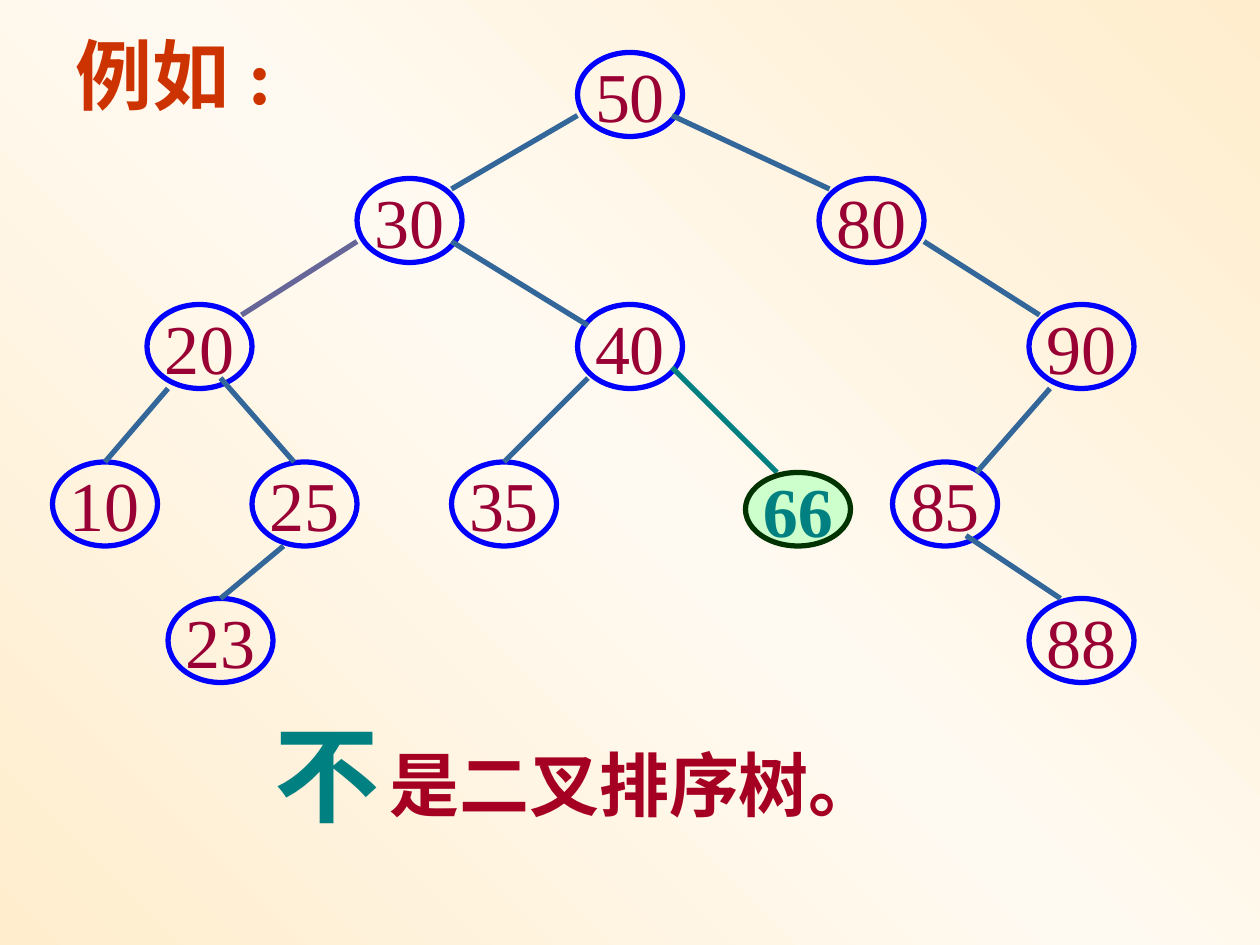
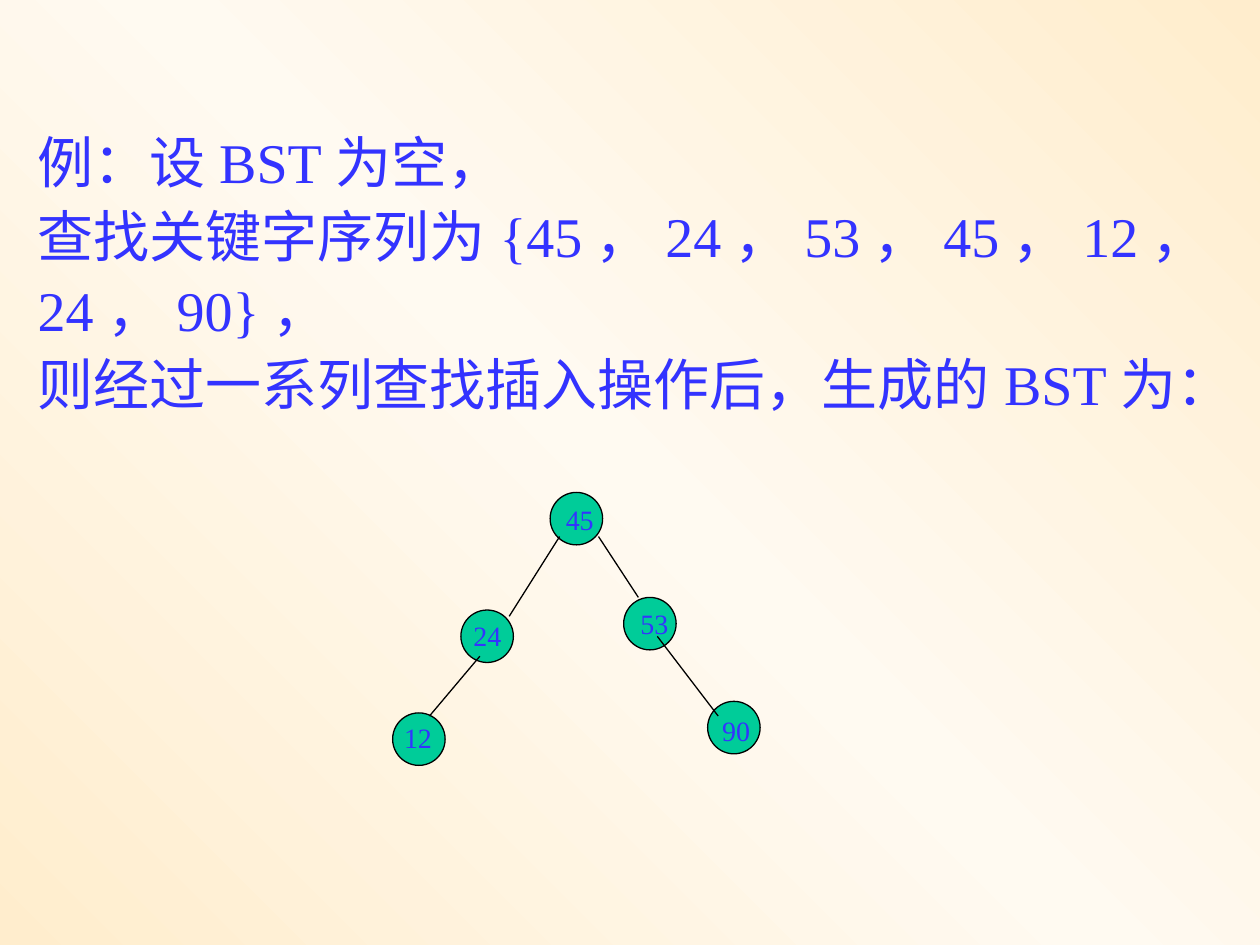
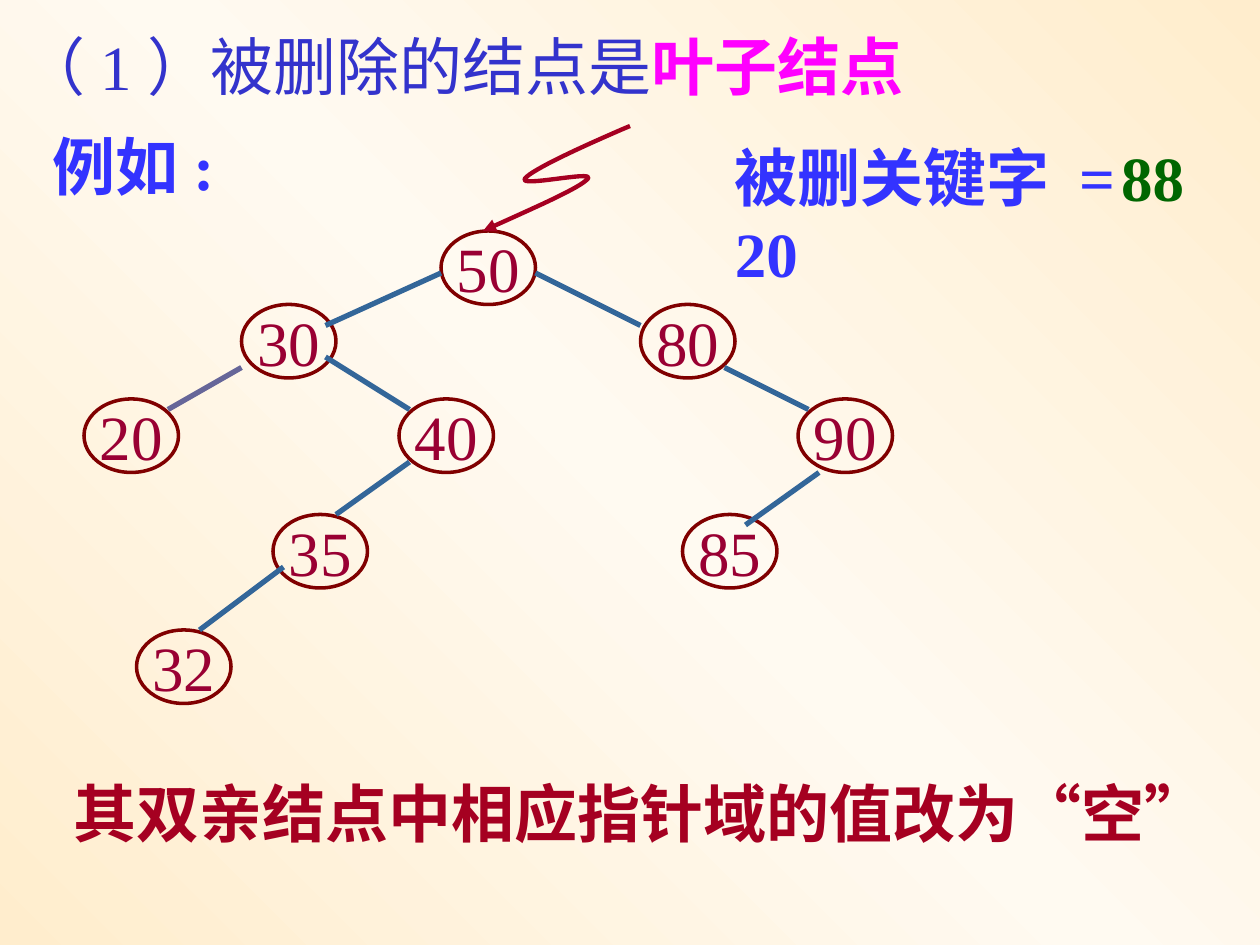
"""Build three slides on binary search trees: a counterexample, insertion and leaf deletion."""
from copy import deepcopy
from dataclasses import dataclass

from lxml.etree import SubElement
from pptx import Presentation
from pptx.dml.color import RGBColor
from pptx.enum.shapes import MSO_CONNECTOR, MSO_SHAPE
from pptx.enum.text import MSO_ANCHOR, MSO_AUTO_SIZE, PP_ALIGN
from pptx.oxml.ns import qn
from pptx.util import Emu, Pt

PX = 7620
SLIDE_SIZE = (1200, 900)


@dataclass(frozen=True)
class Theme:
    """Colours, type sizes and line widths of the deck."""
    font: str = "Times New Roman"
    backdrop: tuple = ((0, "FFEDCD"), (0.5, "FFFAF1"), (1, "FFEDCD"))
    key: str = "990033"
    blue: str = "3333FF"
    title: str = "3333CC"
    magenta: str = "FF00FF"
    orange: str = "CC3300"
    crimson: str = "A50021"
    teal: str = "008080"
    green: str = "006600"
    edge: str = "336699"
    left_edge: str = "666699"
    ring: str = "0000FF"
    leaf_ring: str = "800000"
    wrong_ring: str = "003300"
    wrong_fill: str = "CCFFCC"
    disc: str = "00CC99"
    black: str = "000000"
    small: int = 16
    body: int = 32
    heading: int = 36
    large: int = 40
    example: int = 44
    huge: int = 60
    thin: float = 0.75
    ring_width: float = 2
    pointer_width: float = 2.5
    thick: float = 3


T = Theme()

CHECK_NODES = [
    ("50", 550, 50), ("30", 340, 170), ("80", 780, 170), ("20", 140, 290),
    ("90", 980, 290), ("10", 50, 440), ("85", 850, 440), ("40", 550, 290),
    ("35", 430, 440), ("25", 240, 440), ("23", 160, 570), ("88", 980, 570),
]
CHECK_EDGES = [
    (550, 110, 430, 180), (640, 110, 790, 180), (430, 230, 560, 310),
    (160, 370, 100, 440), (210, 360, 280, 440), (270, 520, 210, 570),
    (560, 360, 480, 440), (880, 230, 990, 300), (1000, 370, 930, 450),
    (920, 510, 1010, 570),
]
CHECK_LEFT_EDGE = (340, 230, 230, 300)
WRONG_NODE = ("66", 710, 450)
WRONG_EDGE = (640, 350, 740, 450)
CHECK_TEXTS = [
    ((60, 20, 197, 100), [("例如:", T.example, T.orange, True)]),
    ((359, 700, 496, 92), [("是二叉排序树。", T.large, T.crimson, True)]),
    ((250, 670, 125, 132), [("不", T.huge, T.teal, True)]),
]

INSERT_LINES = [
    "例：设BST为空，",
    "查找关键字序列为{45，24，53，45，12，24，90}，",
    "则经过一系列查找插入操作后，生成的BST为：",
]
INSERT_NODES = [
    ("45", (524, 469), (527, 473), None),
    ("24", (439, 581), (439, 583), (533, 511, 485, 587)),
    ("53", (594, 569), (598, 572), (570, 511, 608, 569)),
    ("12", (374, 679), (373, 680), (457, 625, 409, 682)),
    ("90", (674, 668), (676, 674), (626, 606, 684, 682)),
]

DELETE_NODES = [
    ("50", 420, 220), ("30", 230, 290), ("80", 610, 290), ("20", 80, 380),
    ("90", 760, 380), ("85", 650, 490), ("40", 380, 380), ("35", 260, 490),
    ("32", 130, 600),
]
DELETE_EDGES = [
    (420, 260, 310, 310), (510, 260, 610, 310), (310, 340, 390, 390),
    (390, 440, 320, 490), (690, 350, 770, 390), (780, 450, 710, 500),
    (270, 540, 190, 600),
]
DELETE_LEFT_EDGE = (230, 350, 160, 390)
DELETE_TITLE = [("（1）被删除的结点是", T.heading, T.title, False),
                ("叶子结点", T.heading, T.magenta, True)]
DELETED_KEY = [("被删关键字 = 20", T.heading, T.blue, True)]
DELETE_TEXTS = [
    ((38, 116, 166, 84), [("例如:", T.heading, T.blue, True)]),
    ((1056, 126, 84, 84), [("88", T.heading, T.green, True)]),
    ((58, 732, 1111, 84),
     [("其双亲结点中相应指针域的值改为“空”", T.heading, T.crimson, True)]),
]
POINTER_CURVES = [
    ((600, 120), (553, 140), (506, 162), (500, 170)),
    ((500, 170), (493, 179), (566, 162), (560, 170)),
    ((560, 170), (553, 179), (506, 199), (460, 220)),
]
CURVE_STEPS = 16


def rgb(code):
    """Turn a hex code into a colour."""
    return RGBColor.from_string(code)


def emu(*lengths):
    """Scale px lengths to EMU."""
    return [Emu(round(length * PX)) for length in lengths]


def set_line(line, color, width):
    """Give a line its colour and width."""
    line.color.rgb = rgb(color)
    line.width = Pt(width)


def write(paragraph, runs):
    """Fill a paragraph with formatted runs."""
    for wording, size, color, bold in runs:
        run = paragraph.add_run()
        run.text = wording
        formats = {"name": T.font, "size": Pt(size), "bold": bold}
        for attribute, value in formats.items():
            setattr(run.font, attribute, value)
        run.font.color.rgb = rgb(color)


def add_text(shapes, box, paragraphs, wrap=False, spacing=None):
    """Place a text box with one list of runs per paragraph."""
    frame = shapes.add_textbox(*emu(*box)).text_frame
    frame.word_wrap = wrap
    frame.auto_size = MSO_AUTO_SIZE.SHAPE_TO_FIT_TEXT
    for index, runs in enumerate(paragraphs):
        paragraph = frame.add_paragraph() if index else frame.paragraphs[0]
        paragraph.line_spacing = spacing
        write(paragraph, runs)


def add_ellipse(shapes, box, ring, width, fill=None):
    """Draw an ellipse with a ring and an optional fill."""
    ellipse = shapes.add_shape(MSO_SHAPE.OVAL, *emu(*box))
    ellipse.shadow.inherit = False
    set_line(ellipse.line, ring, width)
    if fill:
        ellipse.fill.solid()
        ellipse.fill.fore_color.rgb = rgb(fill)
    else:
        ellipse.fill.background()
    return ellipse


def add_node(shapes, node, size, ring, width, label, fill=None):
    """Draw a tree node with its key in the middle."""
    key, left, top = node
    frame = add_ellipse(shapes, (left, top, *size), ring, width, fill).text_frame
    for attribute, value in {"word_wrap": False, "vertical_anchor": MSO_ANCHOR.MIDDLE}.items():
        setattr(frame, attribute, value)
    frame.paragraphs[0].alignment = PP_ALIGN.CENTER
    write(frame.paragraphs[0], [(key, *label)])


def add_edge(shapes, ends, color=T.edge, width=T.thick):
    """Draw a straight tree edge."""
    edge = shapes.add_connector(MSO_CONNECTOR.STRAIGHT, *emu(*ends))
    set_line(edge.line, color, width)
    SubElement(edge.element.spPr, qn("a:effectLst"))


def curve_point(curve, t):
    """Find the point of a cubic curve at t, in EMU."""
    weights = ((1 - t) ** 3, 3 * t * (1 - t) ** 2, 3 * t ** 2 * (1 - t), t ** 3)
    return emu(*(sum(w * p[axis] for w, p in zip(weights, curve)) for axis in (0, 1)))


def add_pointer(shapes):
    """Draw the winding arrow to the root."""
    points = [curve_point(curve, step / CURVE_STEPS)
              for curve in POINTER_CURVES for step in range(1, CURVE_STEPS + 1)]
    builder = shapes.build_freeform(*emu(*POINTER_CURVES[0][0]))
    builder.add_line_segments(points, close=False)
    pointer = builder.convert_to_shape()
    pointer.shadow.inherit = False
    pointer.fill.background()
    set_line(pointer.line, T.crimson, T.pointer_width)
    SubElement(pointer.element.spPr.find(qn("a:ln")), qn("a:tailEnd"), type="triangle")


def paint_backdrop(master):
    """Give every slide the diagonal gradient."""
    fill = master.background.fill
    fill.gradient()
    fill.gradient_angle = 45
    stops = master.element.xpath(".//p:bg//a:gsLst")[0]
    stops.append(deepcopy(stops[0]))
    for stop, (position, color) in zip(fill.gradient_stops, T.backdrop):
        stop.position = position
        stop.color.rgb = rgb(color)


def add_tree(shapes, nodes, edges, left_edge, size, ring, width, type_size):
    """Draw nodes and then the edges between them."""
    for node in nodes:
        add_node(shapes, node, size, ring, width, (type_size, T.key, False))
    for ends in edges:
        add_edge(shapes, ends)
    add_edge(shapes, left_edge, T.left_edge)


def build_check(shapes):
    """Show a tree that breaks the search order."""
    add_tree(shapes, CHECK_NODES, CHECK_EDGES, CHECK_LEFT_EDGE,
             (100, 80), T.ring, T.thick, T.large)
    add_edge(shapes, WRONG_EDGE, T.teal)
    add_node(shapes, WRONG_NODE, (100, 70), T.wrong_ring, T.thick,
             (T.large, T.teal, True), T.wrong_fill)
    for box, runs in CHECK_TEXTS:
        add_text(shapes, box, [runs])


def build_insert(shapes):
    """Show the tree grown from a key sequence."""
    lines = [[(line, T.body, T.blue, False)] for line in INSERT_LINES]
    add_text(shapes, (24, 109, 1176, 294), lines, wrap=True, spacing=1.1)
    for key, corner, label_corner, ends in INSERT_NODES:
        members = shapes.add_group_shape().shapes
        add_ellipse(members, (*corner, 50, 50), T.black, T.thin, T.disc)
        add_text(members, (*label_corner, 66, 44),
                 [[(key, T.small, T.blue, False)]], wrap=True)
        if ends:
            add_edge(members, ends, T.black, T.thin)


def build_delete(shapes):
    """Show the tree after a leaf is deleted."""
    add_tree(shapes, DELETE_NODES, DELETE_EDGES, DELETE_LEFT_EDGE,
             (90, 70), T.leaf_ring, T.ring_width, T.heading)
    add_text(shapes, (10, 20, 874, 84), [DELETE_TITLE], wrap=True)
    add_text(shapes, (688, 126, 450, 84), [DELETED_KEY], wrap=True)
    for box, runs in DELETE_TEXTS:
        add_text(shapes, box, [runs])
    add_pointer(shapes)


def main():
    """Build the deck and save it."""
    deck = Presentation()
    deck.slide_width, deck.slide_height = emu(*SLIDE_SIZE)
    paint_backdrop(deck.slide_master)
    for build in (build_check, build_insert, build_delete):
        build(deck.slides.add_slide(deck.slide_layouts[6]).shapes)
    deck.save("out.pptx")


if __name__ == "__main__":
    main()
